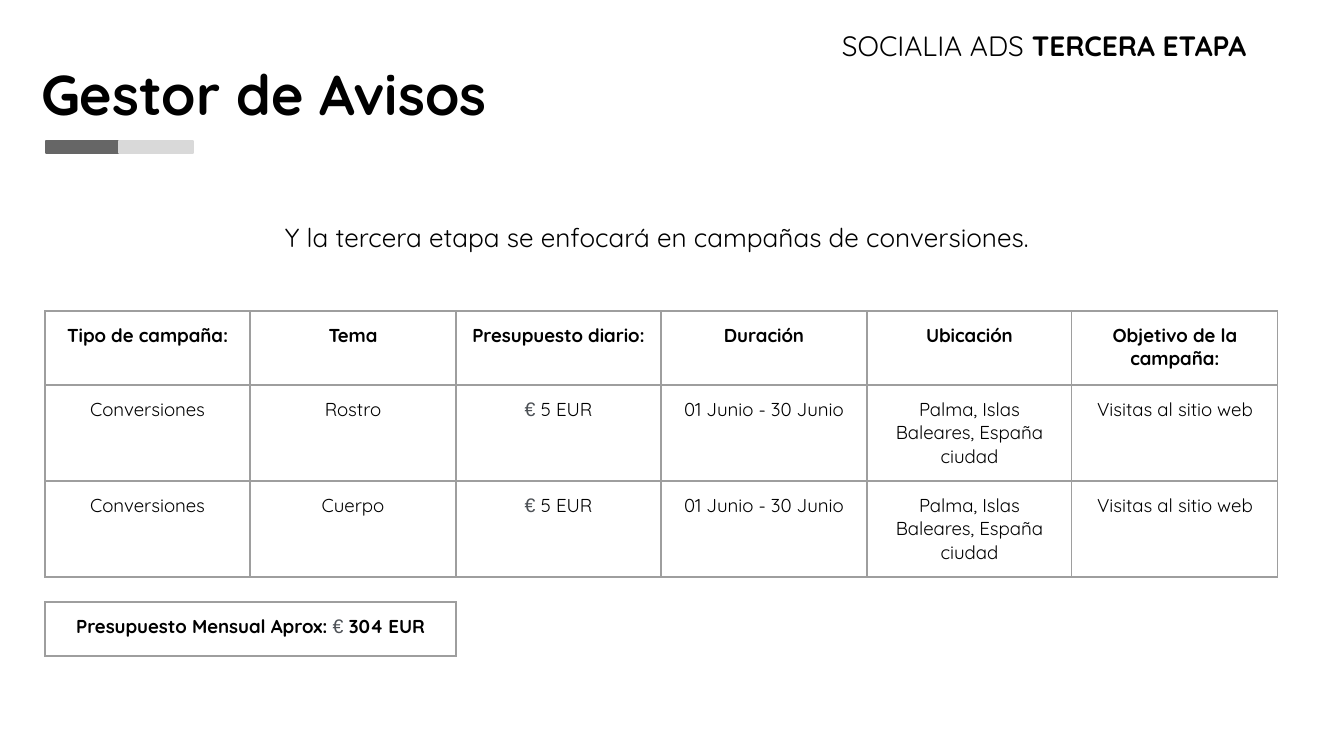
"""Build the slide about the third campaign stage, with its budget tables."""
from lxml import etree
from pptx import Presentation
from pptx.dml.color import RGBColor
from pptx.enum.shapes import MSO_SHAPE as Shape
from pptx.enum.text import MSO_ANCHOR as Anchor, MSO_AUTO_SIZE as AutoSize, PP_ALIGN as Align
from pptx.oxml import parse_xml
from pptx.oxml.ns import nsdecls
from pptx.util import Pt

PX = 6804
INSET = 13 * PX
BORDER = "9E9E9E"
color = RGBColor.from_string


def write(para, text, size=10, bold=False, font="Quicksand", fill="000000"):
    span = para.add_run()
    span.text = text
    span.font.size = Pt(size)
    span.font.bold = bold
    span.font.name = font
    span.font.color.rgb = color(fill)


def add_grid(left, top, widths, heights, rows):
    frame = slide.shapes.add_table(
        len(heights), len(widths), left * PX, top * PX, sum(widths) * PX, sum(heights) * PX)
    table = frame.table
    table.first_row = table.horz_banding = False
    for column, width in zip(table.columns, widths):
        column.width = width * PX
    for row, height, contents in zip(table.rows, heights, rows):
        row.height = height * PX
        for cell, spans in zip(row.cells, contents):
            cell.margin_left = cell.margin_right = INSET
            cell.margin_top = cell.margin_bottom = INSET
            para = cell.text_frame.paragraphs[0]
            para.alignment = Align.CENTER
            for text, style in spans:
                write(para, text, **style)
            properties = cell._tc.get_or_add_tcPr()
            for side in ("lnL", "lnR", "lnT", "lnB"):
                line = parse_xml(f'<a:{side} {nsdecls("a")} w="9525"/>')
                solid = etree.SubElement(line, line.tag.replace(side, "solidFill"))
                etree.SubElement(solid, line.tag.replace(side, "srgbClr"), val=BORDER)
                properties.append(line)
            cell.fill.background()


deck = Presentation()
deck.slide_width = 1344 * PX
deck.slide_height = 756 * PX
slide = deck.slides.add_slide(deck.slide_layouts[5])

title = slide.shapes.title
stage = slide.shapes.add_textbox(0, 0, 0, 0)
intro = slide.shapes.add_textbox(0, 0, 0, 0)
texts = [
    (title, (28, 65, 594, 75), Anchor.BOTTOM, Align.LEFT,
     [("Gestor de Avisos", dict(size=30, bold=True))]),
    (stage, (829, 24, 515, 51), Anchor.BOTTOM, Align.LEFT,
     [("SOCIALIA ADS ", dict(size=15)), ("TERCERA ETAPA", dict(size=15, bold=True))]),
    (intro, (40, 214, 1242, 54), Anchor.TOP, Align.CENTER,
     [("Y la tercera etapa se enfocará en campañas de conversiones. ", dict(size=14))]),
]
for box, place, anchor, align, spans in texts:
    box.left, box.top, box.width, box.height = [length * PX for length in place]
    frame = box.text_frame
    frame.word_wrap = True
    frame.auto_size = AutoSize.NONE
    frame.vertical_anchor = anchor
    frame.margin_left = frame.margin_right = INSET
    frame.margin_top = frame.margin_bottom = INSET
    para = frame.paragraphs[0]
    para.alignment = align
    for text, style in spans:
        write(para, text, **style)
intro.text_frame.paragraphs[0].line_spacing = 0.8

for left, fill in ((46, "666666"), (119, "D9D9D9")):
    bar = slide.shapes.add_shape(Shape.RECTANGLE, left * PX, 141 * PX, 74 * PX, 12 * PX)
    bar.shadow.inherit = False
    bar.fill.solid()
    bar.fill.fore_color.rgb = color(fill)
    bar.line.color.rgb = color(fill)
    bar.line.width = Pt(0.75)

euro = ("€ ", dict(size=10.5, font="Arial", fill="4D5156"))
bold = dict(bold=True)
headings = ["Tipo de campaña:", "Tema", "Presupuesto diario:",
            "Duración", "Ubicación", "Objetivo de la campaña:"]
rows = [[[(heading, bold)] for heading in headings]]
for theme in ("Rostro", "Cuerpo"):
    values = ["Conversiones", theme, "5 EUR", "01 Junio - 30 Junio",
              "Palma, Islas Baleares, España ciudad", "Visitas al sitio web"]
    cells = [[(value, {})] for value in values]
    cells[2].insert(0, euro)
    rows.append(cells)
add_grid(45, 311, [205, 206] * 3, [74, 96, 96], rows)

total = [("Presupuesto Mensual Aprox: ", bold), euro, ("304 EUR", bold)]
add_grid(45, 602, [411], [54], [[total]])

deck.save("out.pptx")
